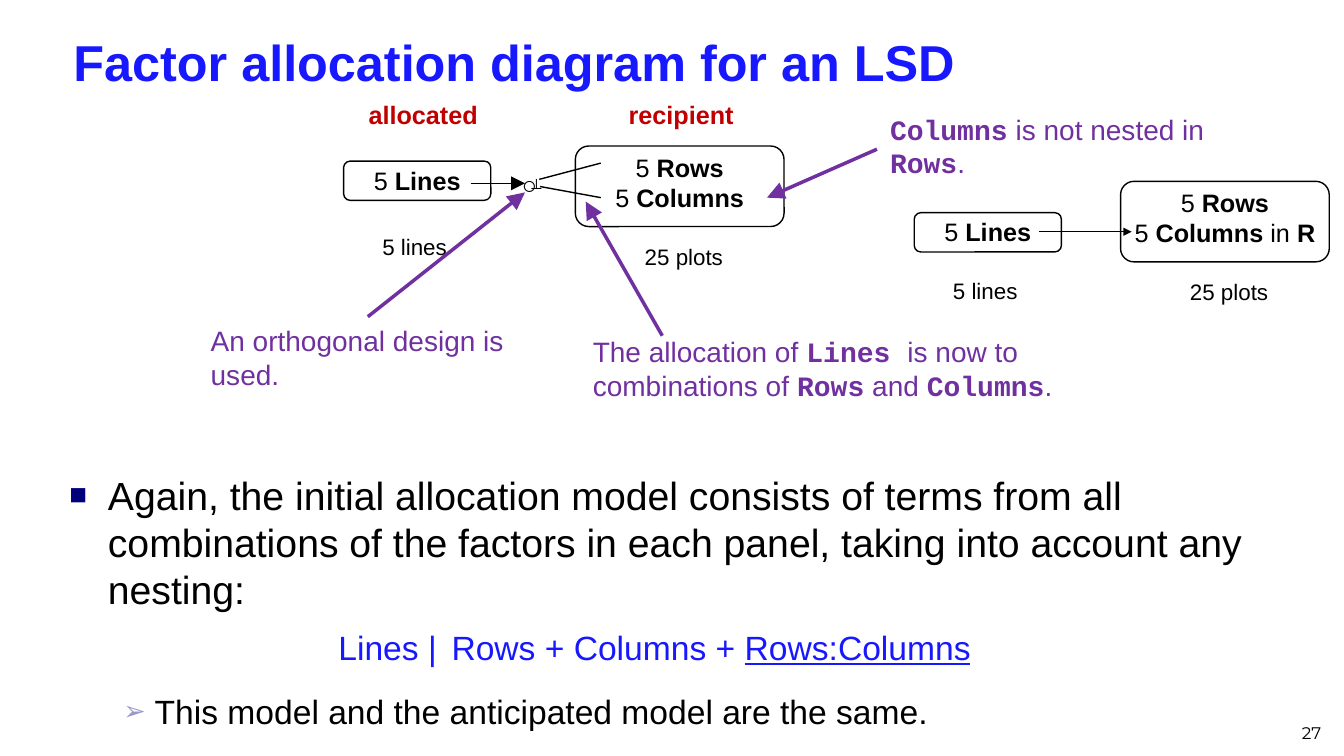
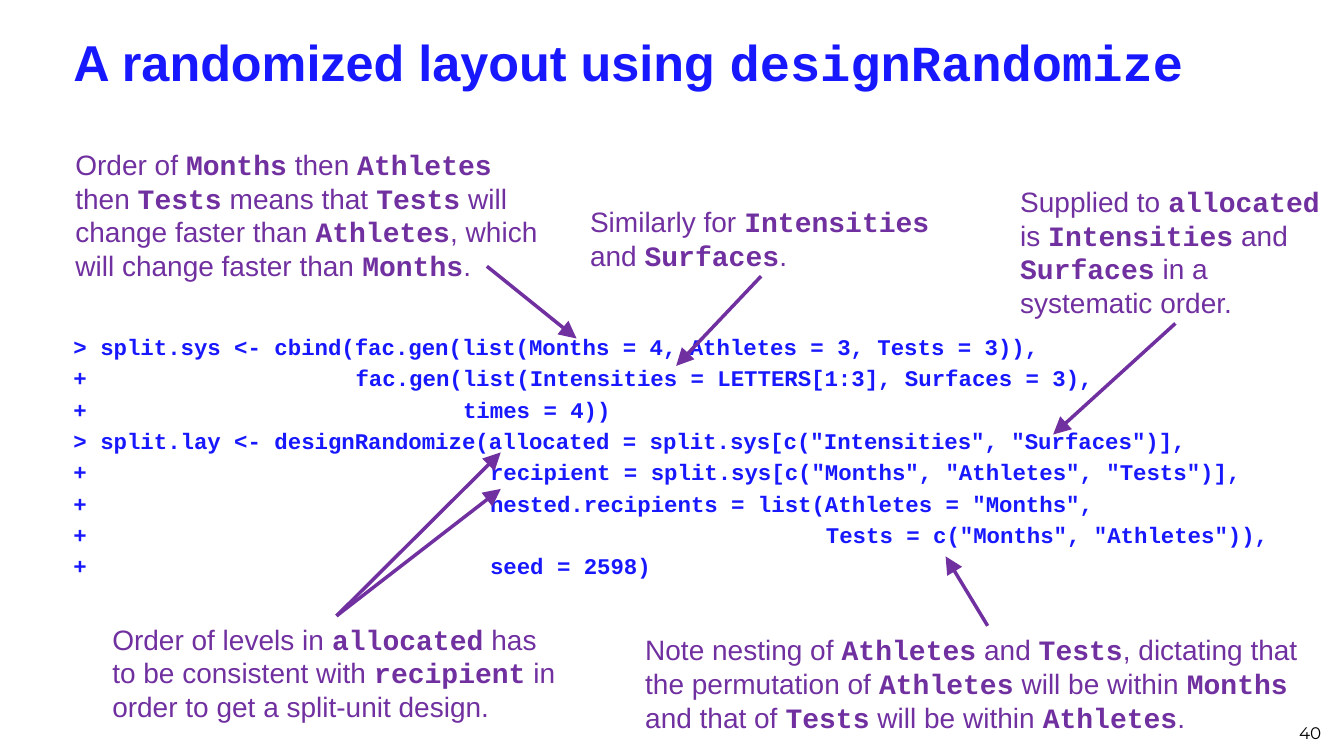
from lxml import etree
from pptx import Presentation
from pptx import util as u
from pptx.dml.color import RGBColor
from pptx.enum import shapes, text
from pptx.oxml.ns import qn

BLUE, PURPLE, RED, BLACK = "1818FF", "7030A0", "C00000", "000000"
LEFT, CENTER, RIGHT = text.PP_ALIGN.LEFT, text.PP_ALIGN.CENTER, text.PP_ALIGN.RIGHT
TOP, MIDDLE, BOTTOM = text.MSO_ANCHOR.TOP, text.MSO_ANCHOR.MIDDLE, text.MSO_ANCHOR.BOTTOM
BOLD = {"bold": True}
MONO = {"name": "Courier New", "bold": True}
PLAIN_INSETS = (0.25, 0.13)
NOTE_INSETS = (0.33, 0.18)

STYLES = {
    "title": {"size": 36, "color": BLUE, "font": BOLD, "strong": MONO, "anchor": MIDDLE},
    "body": {"size": 28},
    "code": {"size": 16, "color": BLUE, "font": MONO, "space": 3.2},
    "note": {"size": 20, "color": PURPLE, "strong": MONO, "insets": NOTE_INSETS},
    "heading": {"size": 18, "color": RED, "font": BOLD, "align": CENTER},
    "panel": {"size": 18, "strong": BOLD, "align": CENTER, "insets": (0.03, 0.05)},
    "caption": {"size": 16, "align": CENTER},
    "circle": {"size": 18},
    "mark": {"size": 12},
    "formula": {"size": 24, "color": BLUE, "strong": {"underline": True}},
    "remark": {"size": 24},
    "number": {"size": 12, "font": {"name": "Montserrat"}, "align": RIGHT, "anchor": BOTTOM},
}


def write(shape, style_name, lines):
    style = STYLES[style_name]
    frame = shape.text_frame
    side, edge = style.get("insets", PLAIN_INSETS)
    frame_format = {
        "word_wrap": True, "auto_size": text.MSO_AUTO_SIZE.NONE,
        "vertical_anchor": style.get("anchor", TOP),
        "margin_left": u.Cm(side), "margin_right": u.Cm(side),
        "margin_top": u.Cm(edge), "margin_bottom": u.Cm(edge),
    }
    for name, value in frame_format.items():
        setattr(frame, name, value)
    for index, line in enumerate(lines):
        paragraph = frame.add_paragraph() if index else frame.paragraphs[0]
        paragraph.alignment = style.get("align", LEFT)
        paragraph.space_before = u.Pt(style.get("space", 0))
        for position, part in enumerate(line.split("`")):
            if not part:
                continue
            run = paragraph.add_run()
            run.text = part
            font_format = {"name": "Arial", "size": u.Pt(style["size"]), "bold": False}
            font_format.update(style.get("font", {}))
            if position % 2:
                font_format.update(style["strong"])
            for name, value in font_format.items():
                setattr(run.font, name, value)
            run.font.color.rgb = RGBColor.from_string(style.get("color", BLACK))
    return shape


def add_text(slide, style_name, box, *lines):
    return write(slide.shapes.add_textbox(*map(u.Cm, box)), style_name, lines)


presentation = Presentation()
presentation.slide_width, presentation.slide_height = u.Cm(33.87), u.Cm(19.05)
layout = presentation.slide_layouts[1]
title_box = {"left": 1.6, "top": 0.55, "width": 32, "height": 2.01}
for name, value in title_box.items():
    setattr(layout.placeholders[0], name, u.Cm(value))

code_lines = [
    (">", 2, "split.sys <- cbind(fac.gen(list(Months = 4, Athletes = 3, Tests = 3)),"),
    ("+", 21, "fac.gen(list(Intensities = LETTERS[1:3], Surfaces = 3),"),
    ("+", 29, "times = 4))"),
    (">", 2, 'split.lay <- designRandomize(allocated = split.sys[c("Intensities", "Surfaces")],'),
    ("+", 31, 'recipient = split.sys[c("Months", "Athletes", "Tests")],'),
    ("+", 31, 'nested.recipients = list(Athletes = "Months",'),
    ("+", 56, 'Tests = c("Months", "Athletes")),'),
    ("+", 31, "seed = 2598)"),
]
prompts, columns, statements = zip(*code_lines)
contents = [
    ("Factor allocation diagram for an LSD", "27", "body", (1.5, 11.74, 32, 3.99),
     ["Again, the initial allocation model consists of terms from all combinations of the "
      "factors in each panel, taking into account any nesting:"]),
    ("A randomized layout using `designRandomize`", "40", "code", (1.6, 8.26, 32.26, 6.86),
     statements),
]
slides, bodies = [], []
for title, number, body_style, body_box, lines in contents:
    slide = presentation.slides.add_slide(layout)
    write(slide.shapes.title, "title", [title])
    body = slide.placeholders[1]
    for name, value in zip(("left", "top", "width", "height"), body_box):
        setattr(body, name, u.Cm(value))
    write(body, body_style, lines)
    add_text(slide, "number", (25.65, 17.58, 7.9, 1.27), number)
    slides.append(slide)
    bodies.append(body)
diagram_slide, code_slide = slides
add_text(code_slide, "code", (1.6, 8.26, 1, 6.86), *prompts)

panels = [
    (8.66, 4.06, 3.71, 0.99, ["5 `Lines`"], (0.38, 1.68, 2.82), "5 lines"),
    (14.5, 3.68, 5.26, 2.03, ["5 `Rows`", "5 `Columns`"], (0.64, 2.31, 4.19), "25 plots"),
    (23.04, 5.36, 3.71, 0.99, ["5 `Lines`"], (0.38, 1.5, 2.82), "5 lines"),
    (28.24, 4.57, 5.26, 2.03, ["5 `Rows`", "5 `Columns `in `R`"], (0.64, 2.31, 4.19), "25 plots"),
]
for left, top, width, height, factors, (inset, drop, caption_width), caption in panels:
    panel = diagram_slide.shapes.add_shape(
        shapes.MSO_SHAPE.ROUNDED_RECTANGLE, *map(u.Cm, (left, top, width, height)))
    panel.shadow.inherit = False
    panel.fill.background()
    panel.line.color.rgb = RGBColor.from_string(BLACK)
    panel.line.width = u.Pt(1)
    write(panel, "panel", factors)
    add_text(diagram_slide, "caption", (left + inset, top + drop, caption_width, 0.94), caption)

diagram_texts = [
    ("heading", (8.81, 2.37, 3.71, 1.02), "allocated"),
    ("heading", (15.54, 2.37, 3.25, 1.02), "recipient"),
    ("circle", (12.9, 4.14, 1.07, 1.02), "○"),
    ("mark", (13.06, 4.22, 0.79, 0.76), "⊥"),
    ("note", (22.1, 2.65, 8.61, 2.18), "`Columns` is not nested in `Rows`."),
    ("note", (14.61, 8.26, 12.75, 2.18),
     "The allocation of `Lines `is now to combinations of `Rows` and `Columns`."),
    ("note", (4.98, 7.98, 8.61, 2.18), "An orthogonal design is used."),
    ("formula", (8.28, 15.67, 3.51, 1.27), "Lines |"),
    ("formula", (11.13, 15.67, 16.48, 1.27), "Rows + Columns + `Rows:Columns`"),
]
code_notes = [
    ("note", (1.57, 3.54, 12.45, 3.78),
     "Order of `Months` then `Athletes` then `Tests` means that `Tests` will change faster than "
     "`Athletes`, which will change faster than `Months`."),
    ("note", (2.5, 15.5, 11.96, 2.87),
     "Order of levels in `allocated` has to be consistent with `recipient` in order to get a "
     "split-unit design."),
    ("note", (25.38, 4.47, 8.48, 3.68),
     "Supplied to `allocated` is `Intensities` and `Surfaces` in a systematic order."),
    ("note", (15.93, 15.77, 17.93, 2.62),
     "Note nesting of `Athletes` and `Tests`, dictating that the permutation of `Athletes` will "
     "be within `Months` and that of `Tests` will be within `Athletes`."),
    ("note", (14.54, 4.98, 9.3, 1.98), "Similarly for `Intensities` and `Surfaces`."),
]
for slide, items in ((diagram_slide, diagram_texts), (code_slide, code_notes)):
    for style_name, box, line in items:
        add_text(slide, style_name, box, line)
remark = add_text(diagram_slide, "remark", (1.59, 17.28, 32.28, 1.35),
                  "This model and the anticipated model are the same.")

bullets = [
    (bodies[0], 0.97, 0.97, "■", "00007D", 75),
    (remark, 2.06, 0.79, "➢", "9999CC", 80),
]
for shape, margin, hanging, character, color, percent in bullets:
    properties = shape.text_frame.paragraphs[0]._p.get_or_add_pPr()
    properties.set("marL", str(u.Cm(margin)))
    properties.set("indent", str(-u.Cm(hanging)))
    bullet_color = etree.SubElement(properties, qn("a:buClr"))
    etree.SubElement(bullet_color, qn("a:srgbClr"), val=color)
    etree.SubElement(properties, qn("a:buSzPct"), val=str(percent * 1000))
    etree.SubElement(properties, qn("a:buFont"), typeface="Arial")
    etree.SubElement(properties, qn("a:buChar"), char=character)

character_width = u.Pt(STYLES["code"]["size"] * 0.6)
for paragraph, column in zip(bodies[1].text_frame.paragraphs, columns):
    properties = paragraph._p.get_or_add_pPr()
    properties.set("marL", str(column * character_width))
    properties.set("indent", "0")
    etree.SubElement(properties, qn("a:buNone"))

branches = [(13.61, 4.7, 15.14, 4.98), (13.59, 4.52, 15.14, 4.11)]
crossed_allocation = [(11.86, 4.62, 13.23, 4.62)]
nested_allocation = [(26.19, 5.84, 28.52, 5.84)]
diagram_pointers = [
    (22.1, 3.76, 19.33, 4.98),
    (16.69, 8.46, 14.76, 5.08),
    (9.27, 7.98, 13.23, 4.85),
]
code_pointers = [
    (12.27, 6.71, 14.53, 8.53),
    (24.89, 15.77, 23.83, 14.02),
    (29.62, 8.15, 26.54, 10.95),
    (8.48, 15.52, 12.62, 11.4),
    (8.48, 15.52, 12.62, 12.32),
    (19.18, 6.96, 17.04, 9.22),
]
connector_sets = [
    (diagram_slide, branches, BLACK, 1, None),
    (diagram_slide, crossed_allocation, BLACK, 1, "lg"),
    (diagram_slide, nested_allocation, BLACK, 1, "med"),
    (diagram_slide, diagram_pointers, PURPLE, 2.5, "lg"),
    (code_slide, code_pointers, PURPLE, 2.5, "lg"),
]
for slide, routes, color, width, head in connector_sets:
    for route in routes:
        connector = slide.shapes.add_connector(shapes.MSO_CONNECTOR.STRAIGHT, *map(u.Cm, route))
        connector.line.color.rgb = RGBColor.from_string(color)
        connector.line.width = u.Pt(width)
        outline = connector.element.spPr
        if head:
            etree.SubElement(outline.find(qn("a:ln")), qn("a:tailEnd"),
                             type="triangle", w=head, len=head)
        etree.SubElement(outline, qn("a:effectLst"))

presentation.save("out.pptx")
